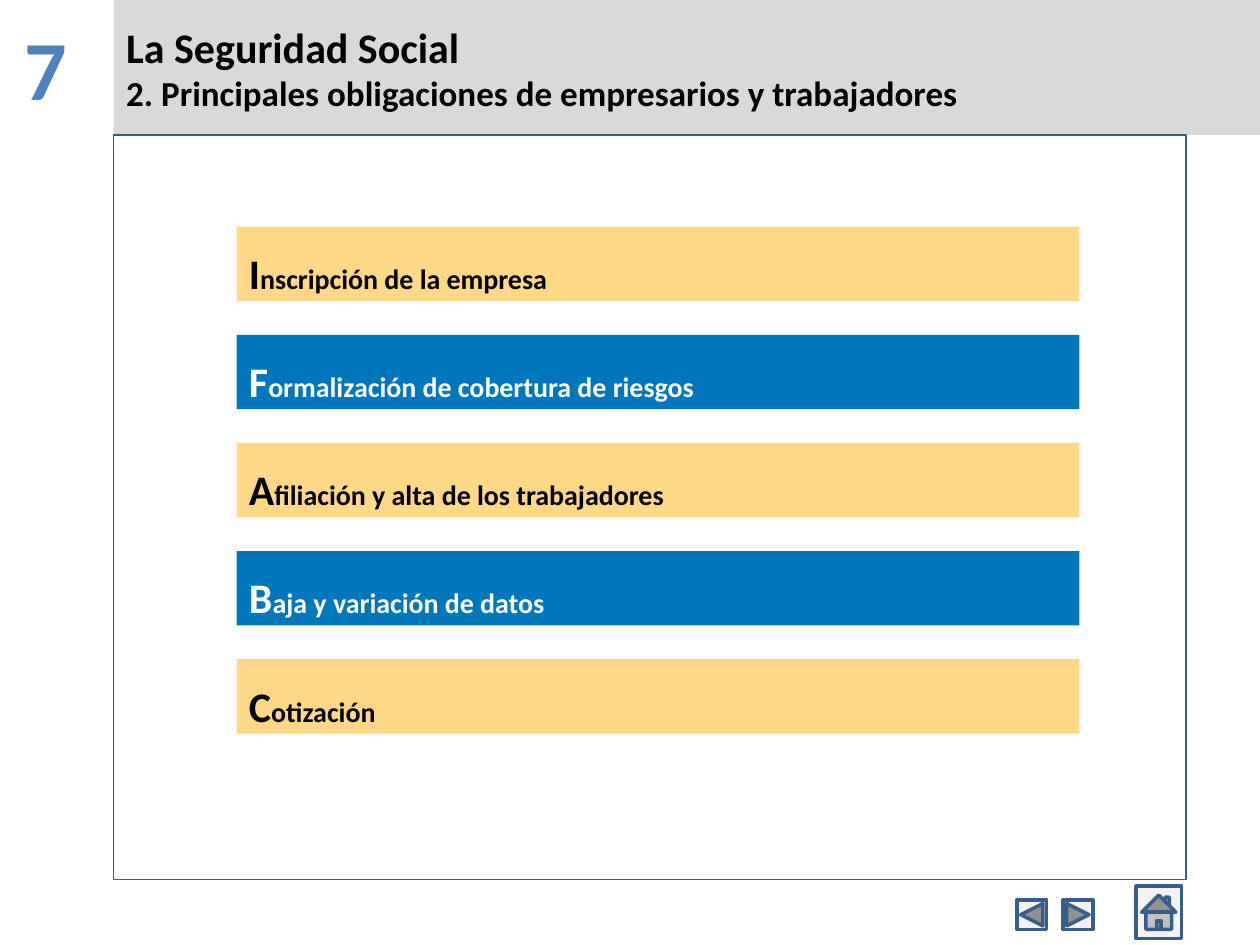
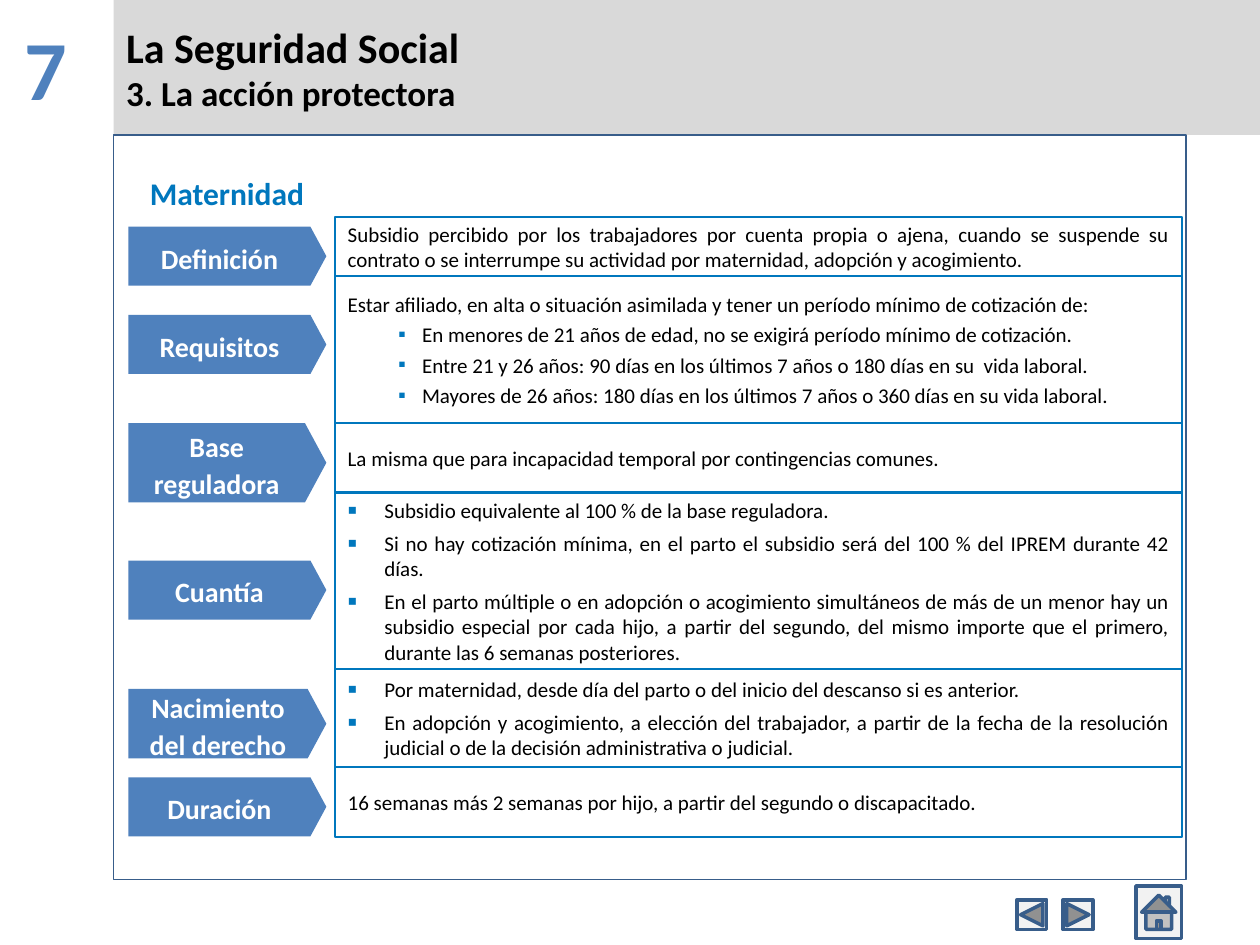
from lxml.etree import SubElement
from pptx import Presentation
from pptx.dml.color import RGBColor
from pptx.enum.shapes import MSO_SHAPE as SHAPE
from pptx.enum.text import MSO_ANCHOR as ANCHOR, MSO_AUTO_SIZE as AUTOSIZE, PP_ALIGN as ALIGN
from pptx.oxml.ns import qn
from pptx.util import Cm, Pt

COLORS = {
    "black": "000000", "white": "FFFFFF", "band": "D9D9D9", "number": "4F81BD",
    "outline": "385D8A", "button": "F2F2F2", "blue": "0077BD", "amber": "FFAD00",
}
FONT = "Calibri"


def add_run(p, text, size, color="black", bold=True):
    r = p.add_run()
    r.text = text
    r.font.name = FONT
    r.font.size = Pt(size)
    r.font.bold = bold
    r.font.color.rgb = RGBColor.from_string(COLORS[color])


def add_box(s, kind, x, y, w, h, fill=None, line=None, width=1.25, inset=(0.25, 0.13)):
    sp = s.shapes.add_shape(kind, Cm(x), Cm(y), Cm(w), Cm(h))
    sp.shadow.inherit = False
    if fill:
        sp.fill.solid()
        sp.fill.fore_color.rgb = RGBColor.from_string(COLORS[fill])
    else:
        sp.fill.background()
    if line:
        sp.line.color.rgb = RGBColor.from_string(COLORS[line])
        sp.line.width = Pt(width)
    else:
        sp.line.fill.background()
    tf = sp.text_frame
    tf.word_wrap = True
    tf.vertical_anchor = ANCHOR.MIDDLE
    tf.margin_left = tf.margin_right = Cm(inset[0])
    tf.margin_top = tf.margin_bottom = Cm(inset[1])
    return sp


prs = Presentation()
prs.slide_width, prs.slide_height = Cm(25.4), Cm(19.05)

HEADINGS = [
    "2. Principales obligaciones de empresarios y trabajadores",
    "3. La acción protectora",
]
BUTTONS = [
    (SHAPE.ACTION_BUTTON_BACK_OR_PREVIOUS, 20.5, 18.14, 0.6, 0.6),
    (SHAPE.ACTION_BUTTON_FORWARD_OR_NEXT, 21.43, 18.14, 0.6, 0.6),
    (SHAPE.ACTION_BUTTON_HOME, 22.9, 17.86, 0.92, 1.06),
]

for heading in HEADINGS:
    s = prs.slides.add_slide(prs.slide_layouts[5])
    title = s.shapes.title
    title.left, title.top, title.width, title.height = Cm(2.29), Cm(0), Cm(23.11), Cm(2.72)
    title.fill.solid()
    title.fill.fore_color.rgb = RGBColor.from_string(COLORS["band"])
    tf = title.text_frame
    tf.auto_size = AUTOSIZE.NONE
    tf.vertical_anchor = ANCHOR.MIDDLE
    p = tf.paragraphs[0]
    add_run(p, "La Seguridad Social", 24)
    add_run(tf.add_paragraph(), heading, 20)
    for p in tf.paragraphs:
        p.alignment = ALIGN.LEFT

    sp = s.shapes.add_textbox(Cm(0), Cm(0), Cm(2.29), Cm(2.54))
    sp.text_frame.word_wrap = True
    p = sp.text_frame.paragraphs[0]
    p.alignment = ALIGN.CENTER
    add_run(p, "7", 48, "number")
    add_run(p, " ", 54)

    add_box(s, SHAPE.RECTANGLE, 2.29, 2.72, 21.62, 15.01, line="outline", width=0.75)
    for button in BUTTONS:
        add_box(s, *button, fill="button", line="outline", width=2)

duties_slide, maternity_slide = prs.slides

DUTIES = [
    "Inscripción de la empresa",
    "Formalización de cobertura de riesgos",
    "Afiliación y alta de los trabajadores",
    "Baja y variación de datos",
    "Cotización",
]
for i, duty in enumerate(DUTIES):
    fill, ink = ("blue", "white") if i % 2 else ("amber", "black")
    sp = add_box(duties_slide, SHAPE.RECTANGLE, 4.77, 4.57 + i * 2.18, 16.99, 1.5, fill)
    if fill == "amber":
        rgb = sp.fill._xPr.find(qn("a:solidFill")).find(qn("a:srgbClr"))
        SubElement(rgb, qn("a:alpha"), val="47000")
    p = sp.text_frame.paragraphs[0]
    p.alignment = ALIGN.LEFT
    p.line_spacing = 1.35
    p.space_after = Pt(13)
    add_run(p, duty[0], 24, ink)
    add_run(p, duty[1:], 16, ink)

sp = maternity_slide.shapes.add_textbox(Cm(2.77), Cm(3.38), Cm(20.45), Cm(1.02))
sp.text_frame.word_wrap = True
add_run(sp.text_frame.paragraphs[0], "Maternidad", 18, "blue")

# label, arrow top, arrow height, cell height, paragraphs as (style, text)
BENEFIT_ROWS = [
    ("Definición", 4.57, 1.19, 1.19, [
        ("plain", "Subsidio percibido por los trabajadores por cuenta propia o ajena, cuando se suspende su contrato o se interrumpe su actividad por maternidad, adopción y acogimiento."),
    ]),
    ("Requisitos", 6.35, 1.19, 2.97, [
        ("plain", "Estar afiliado, en alta o situación asimilada y tener un período mínimo de cotización de:"),
        ("sub", "En menores de 21 años de edad, no se exigirá período mínimo de cotización."),
        ("sub", "Entre 21 y 26 años: 90 días en los últimos 7 años o 180 días en su  vida laboral."),
        ("sub", "Mayores de 26 años: 180 días en los últimos 7 años o 360 días en su vida laboral."),
    ]),
    ("Base reguladora", 8.53, 1.6, 1.4, [
        ("plain", "La misma que para incapacidad temporal por contingencias comunes."),
    ]),
    ("Cuantía", 11.3, 1.19, 3.56, [
        ("item", "Subsidio equivalente al 100 % de la base reguladora."),
        ("item", "Si no hay cotización mínima, en el parto el subsidio será del 100 % del IPREM durante 42 días."),
        ("item", "En el parto múltiple o en adopción o acogimiento simultáneos de más de un menor hay un subsidio especial por cada hijo, a partir del segundo, del mismo importe que el primero, durante las 6 semanas posteriores."),
    ]),
    ("Nacimiento del derecho", 13.89, 1.4, 1.98, [
        ("item", "Por maternidad, desde día del parto o del inicio del descanso si es anterior."),
        ("item", "En adopción y acogimiento, a elección del trabajador, a partir de la fecha de la resolución judicial o de la decisión administrativa o judicial."),
    ]),
    ("Duración", 15.67, 1.19, 1.4, [
        ("plain", "16 semanas más 2 semanas por hijo, a partir del segundo o discapacitado."),
    ]),
]
# left margin, hanging indent, bullet size, space after
BULLETS = {"sub": (1.5, 0.48, 100, 3), "item": (0.74, 0.74, 130, 4.5)}

cell_top = 4.37
for label, arrow_top, arrow_height, cell_height, paragraphs in BENEFIT_ROWS:
    sp = add_box(maternity_slide, SHAPE.RIGHT_ARROW, 2.59, arrow_top, 3.99, arrow_height,
                 "number", inset=(0.1, 0.23))
    sp.adjustments[0], sp.adjustments[1] = 1, 0.27
    p = sp.text_frame.paragraphs[0]
    p.alignment = ALIGN.CENTER
    p.line_spacing = 1.1
    add_run(p, label, 16, "white")

    is_list = paragraphs[0][0] == "item"
    sp = add_box(maternity_slide, SHAPE.RECTANGLE, 6.76, cell_top, 17.07, cell_height,
                 "white", "blue", inset=(0.25, 0.13 if is_list else 0))
    tf = sp.text_frame
    for i, (style, text) in enumerate(paragraphs):
        p = tf.add_paragraph() if i else tf.paragraphs[0]
        p.alignment = ALIGN.JUSTIFY
        p.space_after = Pt(3)
        if style in BULLETS:
            margin, hanging, size, after = BULLETS[style]
            p.space_after = Pt(after)
            pPr = p._p.get_or_add_pPr()
            pPr.set("marL", str(Cm(margin)))
            pPr.set("indent", str(-Cm(hanging)))
            SubElement(SubElement(pPr, qn("a:buClr")), qn("a:srgbClr"), val=COLORS["blue"])
            SubElement(pPr, qn("a:buSzPct"), val=str(size * 1000))
            SubElement(pPr, qn("a:buFont"), typeface=FONT)
            SubElement(pPr, qn("a:buChar"), char="▪")
        add_run(p, text, 12, bold=False)
    cell_top += cell_height

prs.save("out.pptx")
